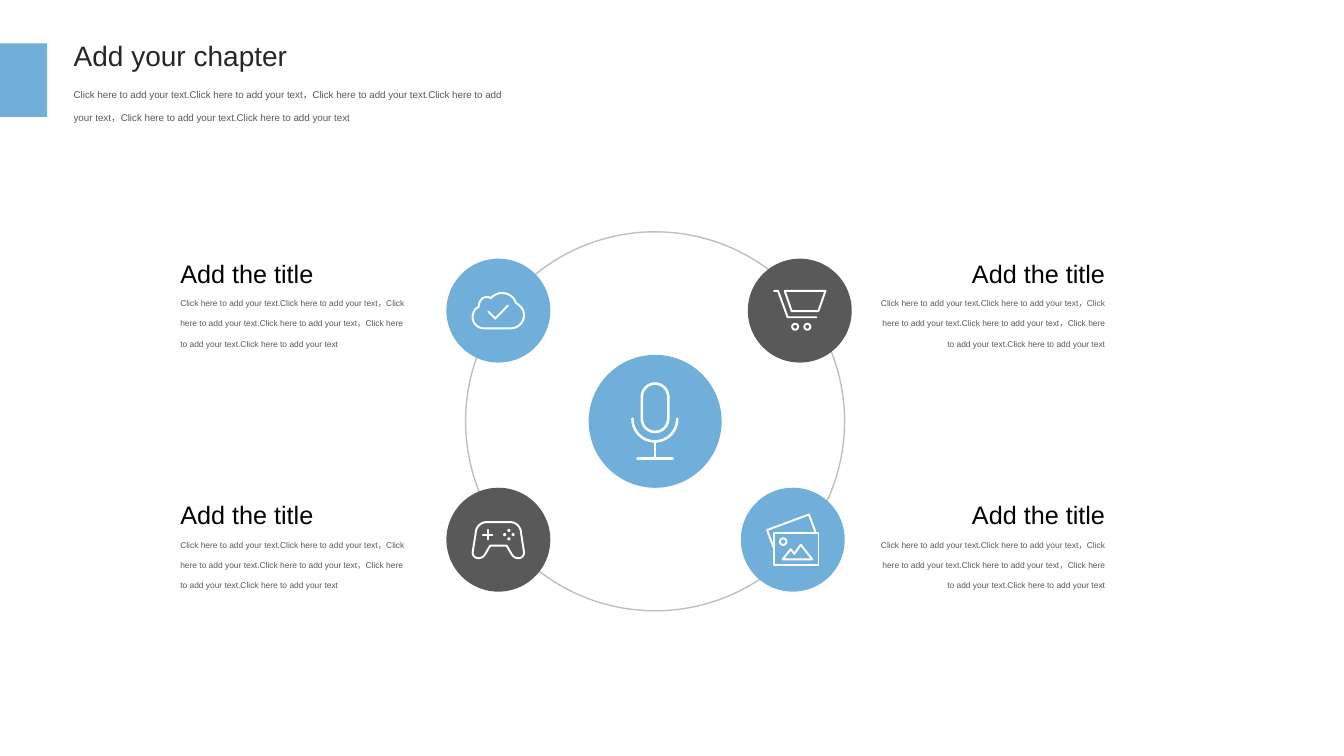
import dataclasses
import pptx
import pptx.dml.color
import pptx.enum.shapes
import pptx.enum.text
import pptx.oxml.ns
import pptx.util
from lxml import etree

Pt = pptx.util.Pt
SHAPE = pptx.enum.shapes.MSO_SHAPE
ALIGN = pptx.enum.text.PP_ALIGN


@dataclasses.dataclass(frozen=True)
class Theme:
    font: str = "Arial"
    accent: str = "70AFDA"
    dark: str = "595959"
    ring: str = "BFBFBF"
    icon: str = "FFFFFF"
    chapter: str = "262626"
    heading: str = "000000"
    chapter_size: int = 20
    heading_size: int = 18
    intro_size: int = 7
    body_size: int = 6
    stroke: float = 1.4


T = Theme()
FILLER = "，".join(["Click here to add your text.Click here to add your text"] * 3)


def rgb(value):
    return pptx.dml.color.RGBColor.from_string(value)


def sub(parent, tag, **attrs):
    return etree.SubElement(parent, pptx.oxml.ns.qn(tag), **attrs)


def add_run(p, text, size, color):
    r = p.add_run()
    r.text = text
    r.font.name, r.font.size = T.font, Pt(size)
    r.font.color.rgb = rgb(color)


def paint(sp, fill=None, line=None, width=T.stroke):
    sp.shadow.inherit = False
    if fill:
        sp.fill.solid()
        sp.fill.fore_color.rgb = rgb(fill)
    else:
        sp.fill.background()
    if line:
        sp.line.color.rgb = rgb(line)
        sp.line.width = Pt(width)
    else:
        sp.line.fill.background()
    return sp


def preset(shapes, kind, x, y, w, h, **style):
    return paint(shapes.add_shape(kind, Pt(x), Pt(y), Pt(w), Pt(h)), **style)


def dot(shapes, cx, cy, d, **style):
    preset(shapes, SHAPE.OVAL, cx - d / 2, cy - d / 2, d, d, **style)


def segment(shapes, x1, y1, x2, y2, width=T.stroke):
    c = shapes.add_connector(pptx.enum.shapes.MSO_CONNECTOR.STRAIGHT,
                             Pt(x1), Pt(y1), Pt(x2), Pt(y2))
    c.line.color.rgb = rgb(T.icon)
    c.line.width = Pt(width)
    c.line._get_or_add_ln().set("cap", "rnd")
    sub(c._element.spPr, "a:effectLst")


def outline(shapes, x, y, start, *steps, closed=True, width=T.stroke):
    """Stroke a path from start; a step of 2 numbers is a line, of 6 a cubic curve."""
    points = [start]
    for step in steps:
        if len(step) == 2:
            points.append(step)
            continue
        a, b, c, d = points[-1], step[:2], step[2:4], step[4:]
        for t in (i / 12 for i in range(1, 13)):
            u = 1 - t
            points.append(tuple(u**3 * a[k] + 3 * u * u * t * b[k] + 3 * u * t * t * c[k]
                                + t**3 * d[k] for k in (0, 1)))
    # Path units are hundredths of a point: 127 EMU each.
    units = [(px * 100, py * 100) for px, py in points]
    fb = shapes.build_freeform(*units[0], scale=127)
    fb.add_line_segments(units[1:], close=closed)
    sp = paint(fb.convert_to_shape(Pt(x), Pt(y)), line=T.icon, width=width)
    sp.line._get_or_add_ln().set("cap", "rnd")


def cloud(shapes, x, y):
    outline(shapes, x, y, (26.6, 49.7), (46.1, 49.7),
            (51.1, 49.7, 55.4, 45.4, 55.4, 40.3), (55.4, 36.7, 53.3, 33.8, 49.7, 31.7),
            (48.2, 27.4, 44.6, 24.5, 39.6, 24.5), (36.7, 24.5, 33.8, 25.9, 31.7, 28.1),
            (27.4, 25.9, 23, 28.8, 23, 34.6), (20.2, 35.3, 18.7, 38.9, 18.7, 41.8),
            (18.7, 46.1, 22.3, 49.7, 26.6, 49.7))
    outline(shapes, x, y, (29.9, 37.8), (34.9, 42.8), (43.9, 33.5), closed=False)


def cart(shapes, x, y):
    outline(shapes, x, y, (18.7, 23), (21.6, 23), (28.4, 41.8), (49, 41.8), closed=False)
    outline(shapes, x, y, (26.3, 23), (55.4, 23), (50.4, 37.4), (31.3, 37.4))
    for wheel in (33.8, 42.5):
        dot(shapes, x + wheel, y + 48.6, 4.3, line=T.icon)


def gamepad(shapes, x, y):
    outline(shapes, x, y, (28.8, 24.5), (45.4, 24.5),
            (49.7, 24.5, 53.3, 28.1, 53.3, 32.4), (55.4, 46.1),
            (55.4, 50.8, 49.7, 51.8, 46.8, 47.9), (43, 41.4), (31.2, 41.4), (27.4, 47.9),
            (24.5, 51.8, 18.7, 50.8, 18.7, 46.1), (20.9, 32.4),
            (20.9, 28.1, 24.5, 24.5, 28.8, 24.5))
    for dx, dy in ((3.4, 0), (0, 3.4)):
        segment(shapes, x + 29.5 - dx, y + 33.5 - dy, x + 29.5 + dx, y + 33.5 + dy)
    for dx, dy in ((0, -3), (0, 3), (-3, 0), (3, 0)):
        dot(shapes, x + 44.6 + dx, y + 33.5 + dy, 2.2, fill=T.icon)


def photos(shapes, x, y):
    outline(shapes, x, y, (23, 41.8), (18.7, 30.2), (48.6, 19.1), (53.3, 31.7), closed=False)
    preset(shapes, SHAPE.RECTANGLE, x + 23.8, y + 32.1, 31.7, 23.4, line=T.icon)
    dot(shapes, x + 30.2, y + 38.5, 4.8, line=T.icon)
    outline(shapes, x, y, (29.9, 51.1), (35.6, 43.9), (38.2, 47.2), (42.8, 40.7), (51.1, 51.1))


def microphone(shapes, x, y):
    capsule = preset(shapes, SHAPE.ROUNDED_RECTANGLE, x + 38, y + 20.5, 18.9, 34.6,
                     line=T.icon, width=1.8)
    capsule.adjustments[0] = 0.5
    outline(shapes, x, y, (31.3, 45.7), (31.3, 54.7, 38.5, 61.9, 47.3, 61.9),
            (56.1, 61.9, 63.3, 54.7, 63.3, 45.7), closed=False, width=1.8)
    segment(shapes, x + 47.3, y + 61.9, x + 47.3, y + 74, 1.8)
    segment(shapes, x + 35, y + 74, x + 60, y + 74, 2.2)


def badge(s, x, y, d, color, draw_icon):
    preset(s.shapes, SHAPE.OVAL, x, y, d, d, fill=color)
    draw_icon(s.shapes.add_group_shape().shapes, x, y)


def header(s, x, y):
    title, intro = s.placeholders
    title.left, title.top, title.width, title.height = Pt(x + 45.4), Pt(y), Pt(176), Pt(31.7)
    intro.left, intro.top, intro.width, intro.height = (
        Pt(x + 45.4), Pt(y + 27.3), Pt(322.6), Pt(38.9))
    for sp, text, size, color, spacing in (
            (title, "Add your chapter", T.chapter_size, T.chapter, 1),
            (intro, FILLER, T.intro_size, T.dark, 2)):
        tf = sp.text_frame
        tf.auto_size = pptx.enum.text.MSO_AUTO_SIZE.NONE
        tf.vertical_anchor = pptx.enum.text.MSO_ANCHOR.TOP
        p = tf.paragraphs[0]
        p.alignment, p.line_spacing, p.space_before = ALIGN.LEFT, spacing, Pt(0)
        pPr = p._p.get_or_add_pPr()
        pPr.set("marL", "0")
        pPr.set("indent", "0")
        sub(pPr, "a:buNone")
        add_run(p, text, size, color)
    preset(s.shapes, SHAPE.RECTANGLE, x, y + 7.2, 33.8, 52.6, fill=T.accent)


def text_block(s, x, y, w, h, align):
    tf = s.shapes.add_textbox(Pt(x), Pt(y), Pt(w), Pt(h)).text_frame
    tf.word_wrap = True
    p = tf.paragraphs[0]
    p.alignment = align
    add_run(p, "Add the title", T.heading_size, T.heading)
    p = tf.add_paragraph()
    p.alignment, p.line_spacing = align, 2
    add_run(p, FILLER, T.body_size, T.dark)


def wheel(s, x, y, d):
    """Ring with a hub and four badges, each with a text block beside it."""
    preset(s.shapes, SHAPE.OVAL, x, y, d, d, line=T.ring, width=1)
    for dx, dy, color, draw_icon in (
            (201.6, 19.2, T.dark, cart), (196.6, 182.8, T.accent, photos),
            (-13.7, 19.2, T.accent, cloud), (-13.7, 182.8, T.dark, gamepad)):
        badge(s, x + dx, y + dy, 74.2, color, draw_icon)
    badge(s, x + (d - 95) / 2, y + (d - 95) / 2, 95, T.accent, microphone)
    for dx, align in ((-210.9, ALIGN.LEFT), (285.2, ALIGN.RIGHT)):
        for dy in (15.1, 187.6):
            text_block(s, x + dx, y + dy, 178.6, 72.7, align)


def main():
    prs = pptx.Presentation()
    prs.slide_width, prs.slide_height = Pt(960), Pt(540)
    s = prs.slides.add_slide(prs.slide_layouts[1])
    header(s, 0, 23.8)
    wheel(s, 332.6, 165.6, 270.7)
    prs.save("out.pptx")


if __name__ == "__main__":
    main()
